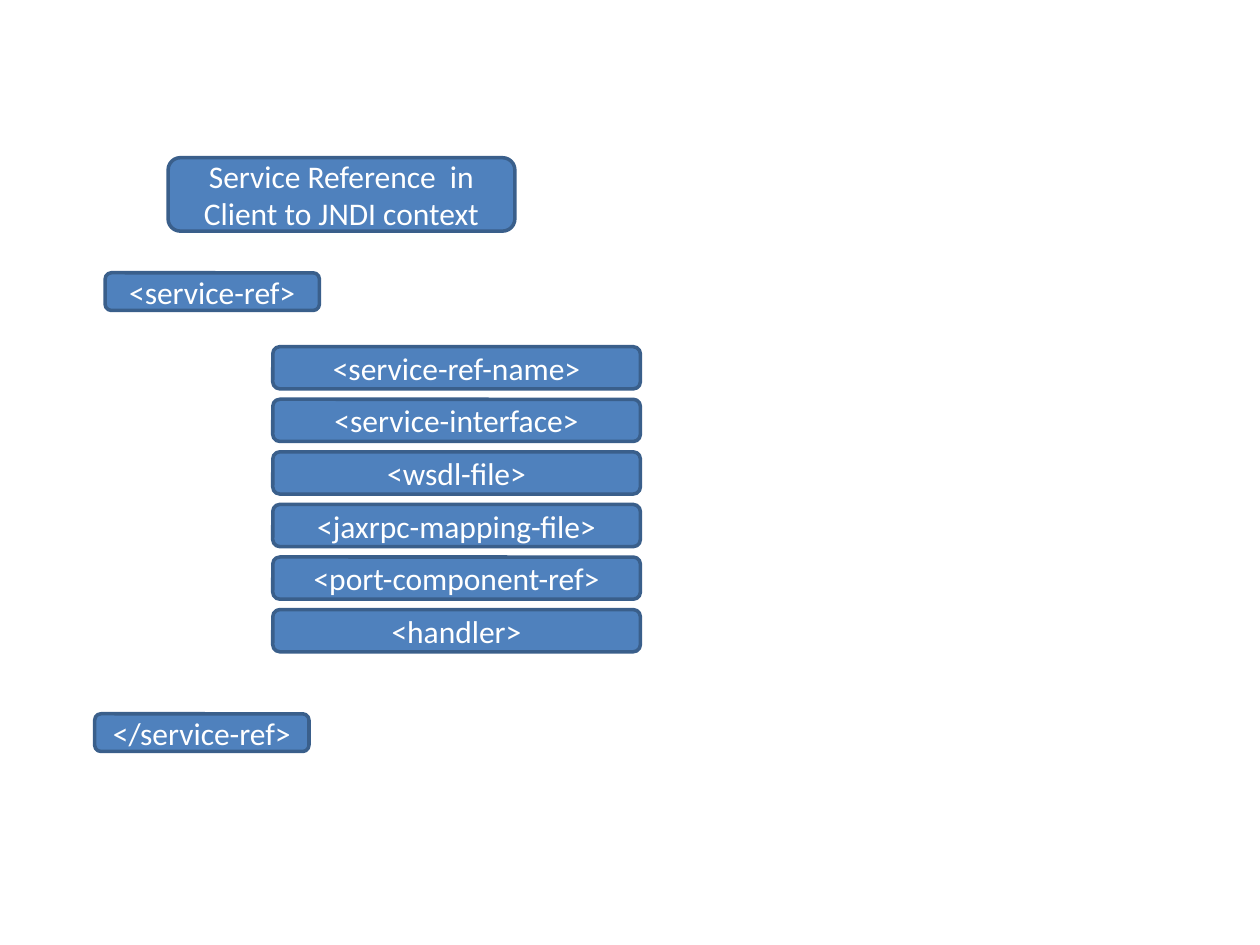
from pptx import Presentation
from pptx.dml.color import RGBColor
from pptx.enum.shapes import MSO_SHAPE as Shape
from pptx.enum.text import MSO_ANCHOR as Anchor, PP_ALIGN as Align
from pptx.util import Cm, Pt

BLUE = RGBColor(0x4F, 0x81, 0xBD)
NAVY = RGBColor(0x3A, 0x5F, 0x8B)
WHITE = RGBColor(0xFF, 0xFF, 0xFF)

FRAMES = [
    ("Service Reference  in Client to JNDI context", 3.39, 3.18, 6.99, 1.48),
    ("<service-ref>", 2.12, 5.5, 4.32, 0.76),
    ("</service-ref>", 1.91, 14.39, 4.32, 0.76),
]
CHILDREN = [
    "<service-ref-name>",
    "<service-interface>",
    "<wsdl-file>",
    "<jaxrpc-mapping-file>",
    "<port-component-ref>",
    "<handler>",
]
LEFT, TOP, WIDTH, HEIGHT, STEP = 5.5, 6.99, 7.41, 0.85, 1.06
FONT = {"name": "Calibri", "size": Pt(18)}


def add_box(slide, text, *place):
    box = slide.shapes.add_shape(Shape.ROUNDED_RECTANGLE, *map(Cm, place))
    box.shadow.inherit = False
    box.fill.solid()
    box.fill.fore_color.rgb = BLUE
    box.line.color.rgb = NAVY
    box.line.width = Pt(2)
    frame = box.text_frame
    frame.word_wrap = True
    frame.vertical_anchor = Anchor.MIDDLE
    para = frame.paragraphs[0]
    para.alignment = Align.CENTER
    run = para.add_run()
    run.text = text
    for key, value in FONT.items():
        setattr(run.font, key, value)
    run.font.color.rgb = WHITE


deck = Presentation()
deck.slide_width, deck.slide_height = Cm(25.4), Cm(19.05)
slide = deck.slides.add_slide(deck.slide_layouts[6])

rows = [(text, LEFT, TOP + i * STEP, WIDTH, HEIGHT)
        for i, text in enumerate(CHILDREN)]
for row in FRAMES + rows:
    add_box(slide, *row)

deck.save("out.pptx")
